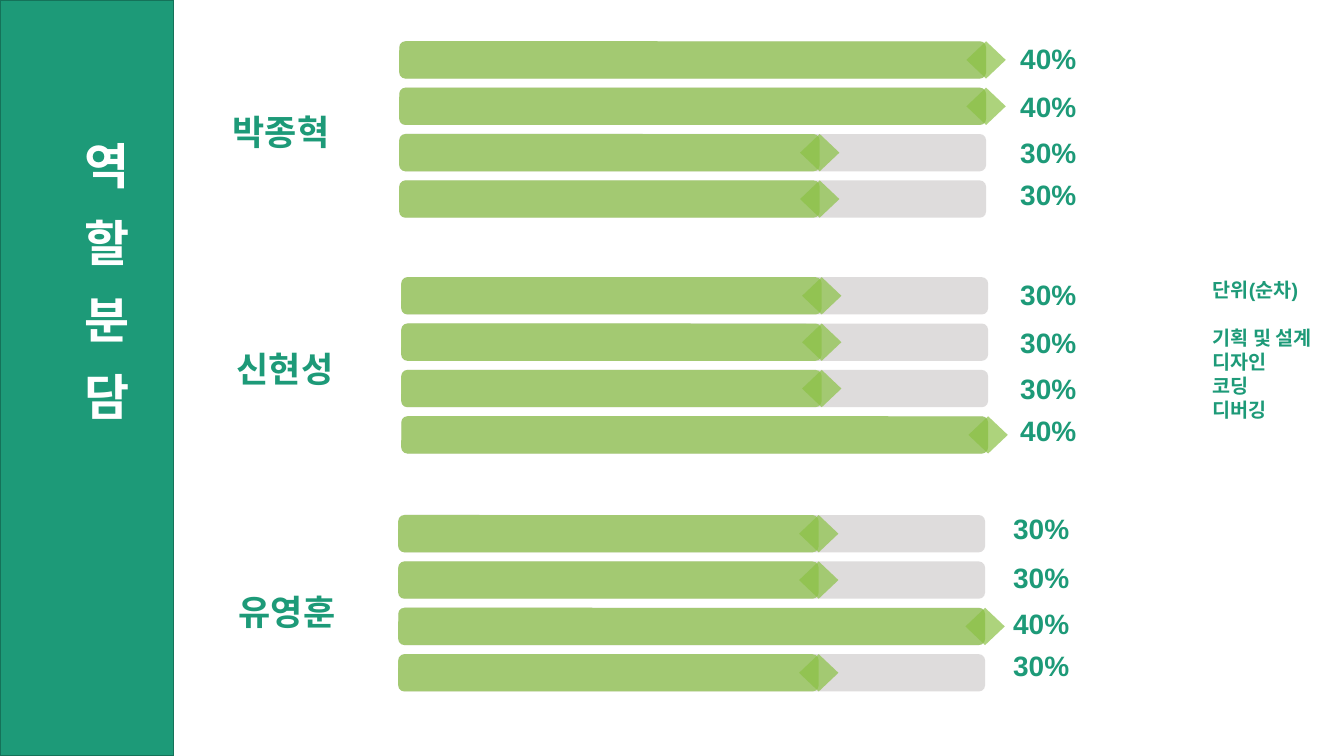
from dataclasses import dataclass

from lxml.etree import SubElement
from pptx import Presentation
from pptx.dml.color import RGBColor
from pptx.enum.shapes import MSO_SHAPE as Kind
from pptx.enum.text import MSO_ANCHOR as Anchor, MSO_AUTO_SIZE as Fit, PP_ALIGN as Align
from pptx.oxml.ns import qn
from pptx.util import Inches, Pt

TEAL = RGBColor(0x1D, 0x9A, 0x78)
EDGE = RGBColor(0x15, 0x72, 0x59)
GREEN = RGBColor(0x8B, 0xC1, 0x45)
GRAY = RGBColor(0xD0, 0xCE, 0xCE)
WHITE = RGBColor(0xFF, 0xFF, 0xFF)
LATIN, KOREAN = "Arial", "Noto Sans CJK KR"

PITCH, THICK = 0.46, 0.37
FULL, PART = 5.82, 4.17
TIP = 0.39
STEPS = (0, 0.48, 0.94, 1.35)  # label offsets within a group


@dataclass
class Member:
    name: str
    name_x: float
    name_y: float
    bar_x: float
    bar_y: float
    rate_x: float
    rate_y: float
    rates: tuple[int, ...]


TEAM = [
    Member("박종혁", 2.21, 1.02, 3.96, 0.41, 10.02, 0.36, (40, 40, 30, 30)),
    Member("신현성", 2.25, 3.37, 3.98, 2.75, 10.02, 2.7, (30, 30, 30, 40)),
    Member("유영훈", 2.27, 5.78, 3.95, 5.11, 9.95, 5.03, (30, 30, 40, 30)),
]
TASKS = ("단위(순차)", "기획 및 설계", "디자인", "코딩", "디버깅")


def add_run(para, text: str, size: float, color: RGBColor, face: str = LATIN):
    run = para.add_run()
    run.text = text
    font = run.font
    font.name, font.size, font.bold = face, Pt(size), True
    font.color.rgb = color
    SubElement(font._element, qn("a:ea")).set("typeface", KOREAN)
    return run


def add_text(x: float, y: float, w: float, h: float, lines: tuple[str, ...],
             size: float, lead: float | None = None):
    frame = shapes.add_textbox(Inches(x), Inches(y), Inches(w), Inches(h)).text_frame
    frame.word_wrap = True
    for i, line in enumerate(lines):
        para = frame.paragraphs[0] if i == 0 else frame.add_paragraph()
        if lead:
            para.line_spacing = Pt(lead)
        add_run(para, line, size, TEAL)
    return frame


def add_block(kind: Kind, x: float, y: float, w: float, h: float,
              color: RGBColor, alpha: int = 100):
    block = shapes.add_shape(kind, Inches(x), Inches(y), Inches(w), Inches(h))
    block.shadow.inherit = False
    block.fill.solid()
    block.fill.fore_color.rgb = color
    block.line.fill.background()
    if alpha < 100:
        tone = block.element.spPr.find(qn("a:solidFill"))[0]
        SubElement(tone, qn("a:alpha")).set("val", str(alpha * 1000))
    return block


def add_bar(x: float, y: float, rate: int) -> None:
    width = FULL if rate == 40 else PART
    add_block(Kind.ROUNDED_RECTANGLE, x, y, FULL, THICK, GRAY, 70)
    add_block(Kind.ROUNDED_RECTANGLE, x, y, width, THICK, GREEN, 70)
    add_block(Kind.DIAMOND, x + width - TIP / 2, y, TIP, THICK, GREEN, 70)


deck = Presentation()
deck.slide_width, deck.slide_height = Inches(13.33), Inches(7.5)
slide = deck.slides.add_slide(deck.slide_layouts[5])
shapes = slide.shapes

# Side band with the vertical title
band = add_block(Kind.RECTANGLE, 0, 0, 1.72, 7.5, TEAL)
band.line.color.rgb = EDGE
band.line.width = Pt(1)
title = shapes.title
title.left, title.top = Inches(0.55), Inches(1.35)
title.width, title.height = Inches(0.79), Inches(5.17)
band.element.addnext(title.element)
frame = title.text_frame
frame.auto_size = Fit.NONE
frame.word_wrap = True
frame.vertical_anchor = Anchor.TOP
frame.margin_left = frame.margin_right = 0
frame._txBody.bodyPr.set("vert", "eaVert")
head = frame.paragraphs[0]
head.alignment = Align.LEFT
word = add_run(head, "역 할 분 담", 35, WHITE, KOREAN)
word.font._element.set("spc", "600")

# Members with their bars and rates
for member in TEAM:
    add_text(member.name_x, member.name_y, 1.25, 0.52, (member.name,), 25, 32)
    for i, (rate, step) in enumerate(zip(member.rates, STEPS)):
        add_bar(member.bar_x, member.bar_y + i * PITCH, rate)
        add_text(member.rate_x, member.rate_y + step, 1.01, 0.44, (f"{rate}%",), 20)

# Order of the tasks
legend = add_text(11.93, 2.71, 1.32, 1.51, TASKS, 14, 17)
legend.paragraphs[0].space_after = Pt(17)

deck.save("out.pptx")
